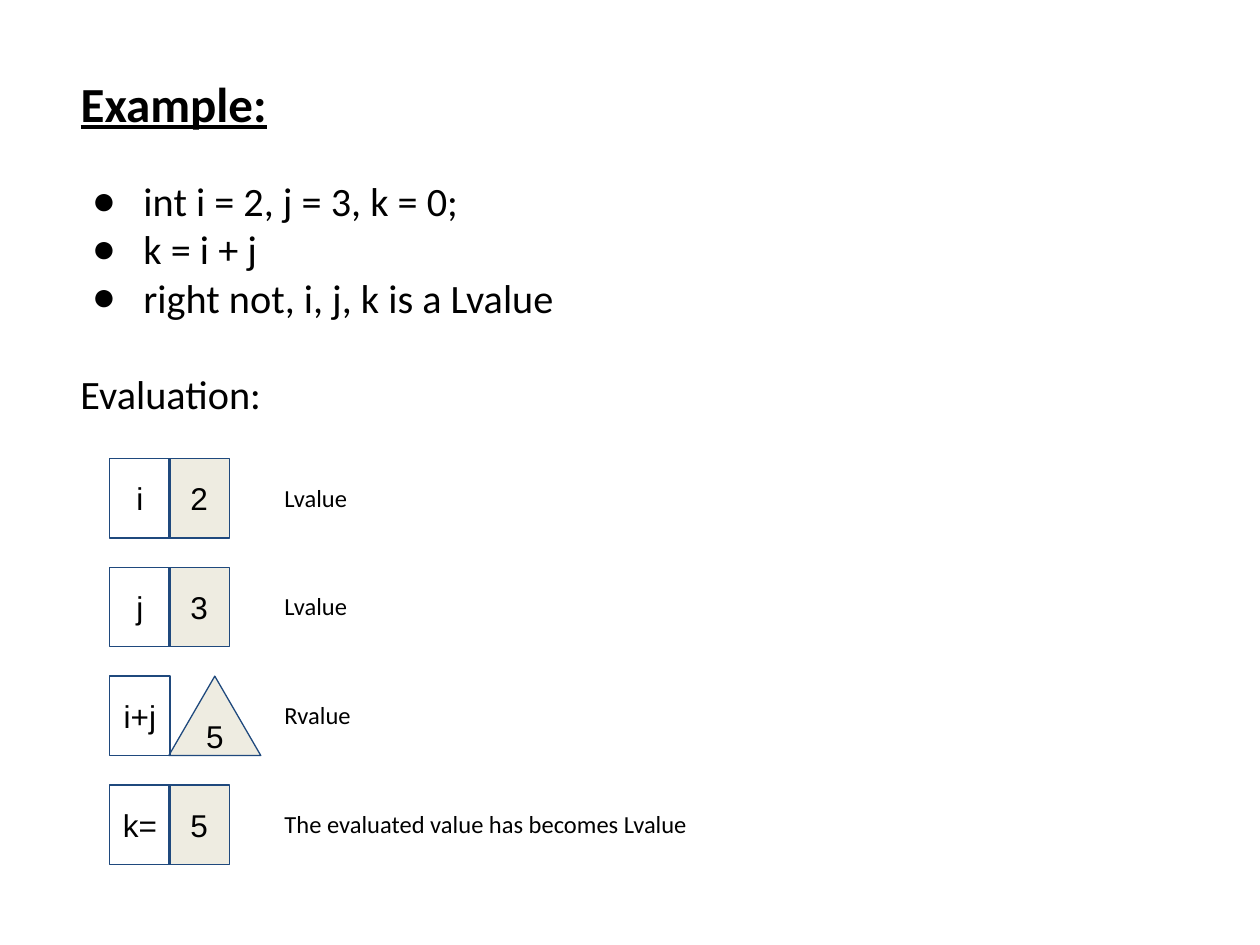
"""Build the slide that explains Lvalues and Rvalues with a small evaluation diagram."""
from dataclasses import dataclass

from lxml import etree
from pptx import Presentation
from pptx.dml.color import RGBColor
from pptx.enum import shapes, text
from pptx.oxml.ns import qn
from pptx.util import Inches, Pt


@dataclass(frozen=True)
class Theme:
    ink: RGBColor = RGBColor(0, 0, 0)
    outline: RGBColor = RGBColor(0x1F, 0x49, 0x7D)
    value_fill: RGBColor = RGBColor(0xEE, 0xEC, 0xE1)
    text_font: str = "Calibri"
    cell_font: str = "Arial"
    title_size: float = 28
    body_size: float = 23
    cell_size: float = 18
    label_size: float = 14
    outline_width: float = 0.75


@dataclass(frozen=True)
class Evaluation:
    name: str
    value: str
    label: str
    label_width: float = 0.9
    value_shape: shapes.MSO_SHAPE = shapes.MSO_SHAPE.RECTANGLE
    value_width: float = 0.48


THEME = Theme()
STATEMENTS = ("int i = 2, j = 3, k = 0;", "k = i + j", "right not, i, j, k is a Lvalue")
EVALUATIONS = (
    Evaluation("i", "2", "Lvalue"),
    Evaluation("j", "3", "Lvalue"),
    Evaluation("i+j", "5", "Rvalue", value_shape=shapes.MSO_SHAPE.ISOSCELES_TRIANGLE, value_width=0.73),
    Evaluation("k=", "5", "The evaluated value has becomes Lvalue", label_width=4.83),
)
FIRST_ROW, LAST_ROW = 3.64, 6.23
ROW_PITCH = (LAST_ROW - FIRST_ROW) / (len(EVALUATIONS) - 1)
NAME_LEFT, VALUE_LEFT, LABEL_LEFT = 0.87, 1.34, 2.16
CELL_WIDTH, CELL_HEIGHT = 0.48, 0.63
LABEL_OFFSET, LABEL_HEIGHT = 0.09, 0.44


def write(para, words: str, *, size: float, font: str = THEME.text_font, bold: bool = False,
          underline: bool = False, align=text.PP_ALIGN.LEFT, before: float = 0) -> None:
    """Write one formatted run into a paragraph."""
    para.alignment = align
    para.space_before = Pt(before)
    span = para.add_run()
    span.text = words
    span.font.name = font
    span.font.size = Pt(size)
    span.font.bold = bold
    span.font.underline = underline
    span.font.color.rgb = THEME.ink


def set_frame(frame, *, vertical: float, anchor=text.MSO_ANCHOR.TOP, wrap: bool = True) -> None:
    """Set the insets, anchor and wrapping of a text frame."""
    frame.auto_size = text.MSO_AUTO_SIZE.NONE
    frame.word_wrap = wrap
    frame.vertical_anchor = anchor
    frame.margin_left = frame.margin_right = Inches(0.1)
    frame.margin_top = frame.margin_bottom = Inches(vertical)


def add_bullet(para) -> None:
    """Give a paragraph a round bullet with a hanging indent."""
    properties = para._p.get_or_add_pPr()
    properties.set("marL", str(Inches(0.5)))
    properties.set("indent", str(Inches(-0.41)))
    color = etree.SubElement(properties, qn("a:buClr"))
    etree.SubElement(color, qn("a:srgbClr"), val=str(THEME.ink))
    etree.SubElement(properties, qn("a:buFont"), typeface=THEME.cell_font)
    etree.SubElement(properties, qn("a:buChar"), char="●")


def add_title(page) -> None:
    """Place and format the title placeholder."""
    title = page.shapes.title
    title.left, title.top, title.width, title.height = map(Inches, (0.54, 0.53, 9.12, 0.94))
    set_frame(title.text_frame, vertical=0.05)
    write(title.text_frame.paragraphs[0], "Example:", size=THEME.title_size, bold=True, underline=True)


def add_statements(page) -> None:
    """Add the bulleted statements and the heading of the diagram."""
    box = page.shapes.add_textbox(*map(Inches, (0.54, 1.35, 9.12, 1.45)))
    frame = box.text_frame
    set_frame(frame, vertical=0.05)
    for index, statement in enumerate(STATEMENTS):
        para = frame.add_paragraph() if index else frame.paragraphs[0]
        write(para, statement, size=THEME.body_size)
        add_bullet(para)
    write(frame.add_paragraph(), "Evaluation:", size=THEME.body_size, before=27.5)


def add_cell(page, kind: shapes.MSO_SHAPE, words: str, left: float, top: float, width: float,
             fill: RGBColor | None = None) -> None:
    """Add one outlined cell with centred text."""
    cell = page.shapes.add_shape(kind, *map(Inches, (left, top, width, CELL_HEIGHT)))
    cell.shadow.inherit = False
    if fill is None:
        cell.fill.background()
    else:
        cell.fill.solid()
        cell.fill.fore_color.rgb = fill
    cell.line.color.rgb = THEME.outline
    cell.line.width = Pt(THEME.outline_width)
    set_frame(cell.text_frame, vertical=0.1, anchor=text.MSO_ANCHOR.MIDDLE, wrap=False)
    write(cell.text_frame.paragraphs[0], words, size=THEME.cell_size, font=THEME.cell_font,
          align=text.PP_ALIGN.CENTER)


def add_evaluation(page, item: Evaluation, top: float) -> None:
    """Add one row with its name, value and label."""
    add_cell(page, item.value_shape, item.value, VALUE_LEFT, top, item.value_width, THEME.value_fill)
    add_cell(page, shapes.MSO_SHAPE.RECTANGLE, item.name, NAME_LEFT, top, CELL_WIDTH)
    label = page.shapes.add_textbox(
        *map(Inches, (LABEL_LEFT, top + LABEL_OFFSET, item.label_width, LABEL_HEIGHT)))
    set_frame(label.text_frame, vertical=0.1)
    write(label.text_frame.paragraphs[0], item.label, size=THEME.label_size)


def main() -> None:
    """Build and save the deck."""
    deck = Presentation()
    deck.slide_width, deck.slide_height = Inches(10), Inches(7.5)
    page = deck.slides.add_slide(deck.slide_layouts.get_by_name("Title Only"))
    add_title(page)
    add_statements(page)
    for index, item in enumerate(EVALUATIONS):
        add_evaluation(page, item, FIRST_ROW + index * ROW_PITCH)
    deck.save("out.pptx")


main()
